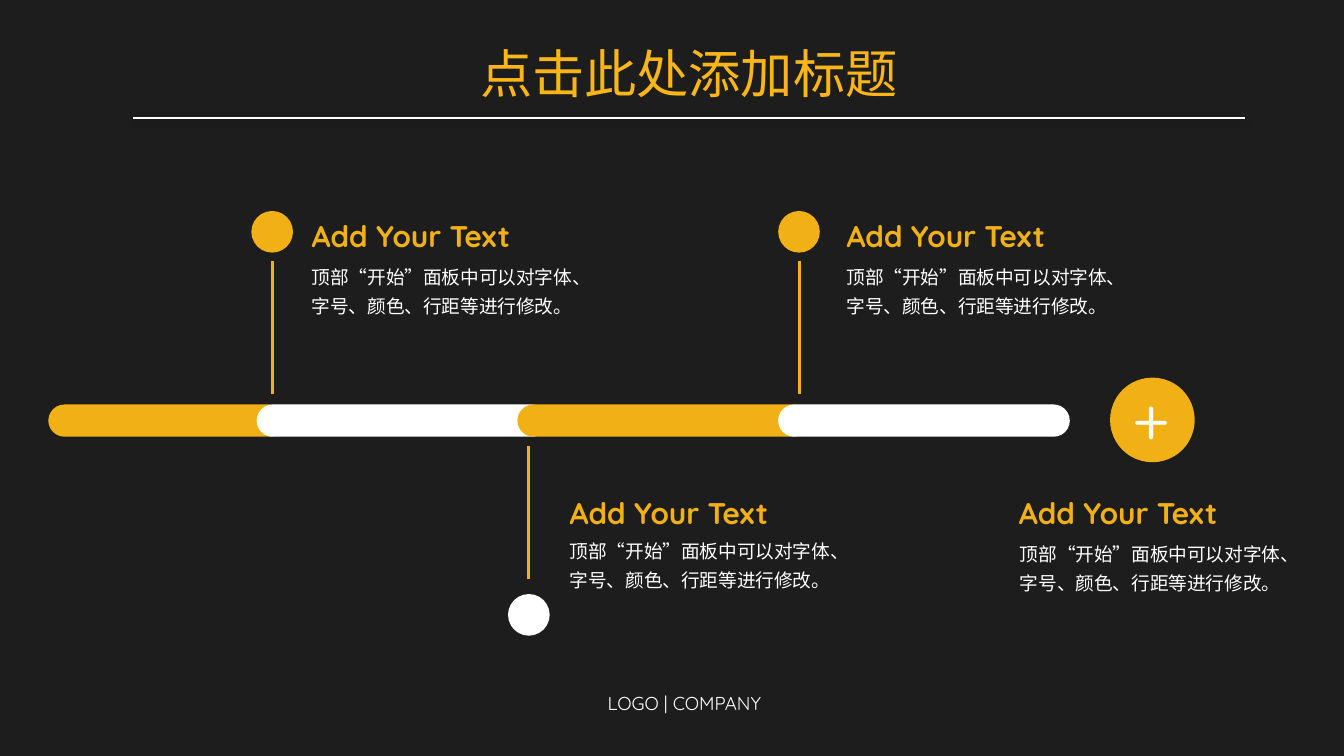
from dataclasses import dataclass

from lxml.etree import SubElement
from pptx import Presentation
from pptx.dml.color import RGBColor
from pptx.enum.shapes import MSO_CONNECTOR, MSO_SHAPE
from pptx.enum.text import MSO_ANCHOR, MSO_AUTO_SIZE, PP_ALIGN
from pptx.oxml.ns import qn
from pptx.util import Inches, Pt


@dataclass(frozen=True)
class Theme:
    """Colours, font and type sizes of the slide."""
    background: RGBColor = RGBColor.from_string("1D1D1D")
    amber: RGBColor = RGBColor.from_string("F1B015")
    title_amber: RGBColor = RGBColor.from_string("F9B616")
    white: RGBColor = RGBColor.from_string("FFFFFF")
    shadow: RGBColor = RGBColor.from_string("000000")
    font: str = "Quicksand"
    title: int = 28
    heading: int = 16
    body: int = 10
    plus: int = 36


THEME = Theme()
HEADING = "Add Your Text"
BODY = "顶部“开始”面板中可以对字体、字号、颜色、行距等进行修改。"


def write(box, text, size, color, bold=False, align=PP_ALIGN.LEFT, spacing=1.0, wrap=True):
    """Fill a box with one formatted paragraph."""
    frame = box.text_frame
    frame.word_wrap = wrap
    frame.auto_size = MSO_AUTO_SIZE.SHAPE_TO_FIT_TEXT
    frame.vertical_anchor = MSO_ANCHOR.TOP
    para = frame.paragraphs[0]
    para.text = text
    para.alignment = align
    para.line_spacing = spacing
    para.font.name = THEME.font
    para.font.size = Pt(size)
    para.font.bold = bold
    para.font.color.rgb = color


def add_label(shapes, left, top, width, height, text, size, color, **style):
    """Add a text box holding one paragraph."""
    box = shapes.add_textbox(Inches(left), Inches(top), Inches(width), Inches(height))
    write(box, text, size, color, **style)


def add_filled(shapes, kind, left, top, width, height, color):
    """Add a flat preset shape without outline."""
    shape = shapes.add_shape(kind, Inches(left), Inches(top), Inches(width), Inches(height))
    shape.shadow.inherit = False
    shape.fill.solid()
    shape.fill.fore_color.rgb = color
    shape.line.fill.background()
    return shape


def add_line(shapes, x1, y1, x2, y2, color, weight):
    """Add a straight line and return its effect list, which is empty."""
    line = shapes.add_connector(
        MSO_CONNECTOR.STRAIGHT, Inches(x1), Inches(y1), Inches(x2), Inches(y2))
    line.line.color.rgb = color
    line.line.width = Pt(weight)
    return SubElement(line._element.spPr, qn("a:effectLst"))


def add_soft_shadow(effects):
    """Put a blurred shadow below a line."""
    shadow = SubElement(effects, qn("a:outerShdw"), {
        "blurRad": str(Pt(3.1)), "dist": str(Pt(1.6)), "dir": str(90 * 60000),
        "rotWithShape": "0"})
    color = SubElement(shadow, qn("a:srgbClr"), val=str(THEME.shadow))
    SubElement(color, qn("a:alpha"), val="38000")


def add_title(page):
    """Set the title above its rule."""
    title = page.shapes.title
    title.left, title.top = Inches(3.42), Inches(0.26)
    title.width, title.height = Inches(3.41), Inches(0.57)
    write(title, "点击此处添加标题", THEME.title, THEME.title_amber, align=PP_ALIGN.CENTER)
    add_soft_shadow(add_line(page.shapes, 0.99, 0.88, 9.26, 0.88, THEME.white, 1))


def add_bar(shapes):
    """Draw the overlapping segments of the timeline."""
    segments = [(0.36, 1.77)] + [(1.91 + 1.94 * step, 2.17) for step in range(3)]
    for index, (left, width) in enumerate(segments):
        color = THEME.white if index % 2 else THEME.amber
        segment = add_filled(
            shapes, MSO_SHAPE.ROUNDED_RECTANGLE, left, 3.01, width, 0.24, color)
        segment.adjustments[0] = 0.5


def add_marker(shapes, dot_left, dot_top, stem_x, stem_top, color):
    """Draw a dot and the stem that ties it to the timeline."""
    add_filled(shapes, MSO_SHAPE.OVAL, dot_left, dot_top, 0.31, 0.31, color)
    add_line(shapes, stem_x, stem_top, stem_x, stem_top + 0.99, THEME.amber, 1.5)


def add_entry(shapes, heading_left, heading_top, body_left, body_top, align=PP_ALIGN.LEFT):
    """Write a heading and its description."""
    add_label(shapes, heading_left, heading_top, 2.12, 0.37, HEADING,
              THEME.heading, THEME.amber, bold=True, align=align)
    add_label(shapes, body_left, body_top, 2.19, 0.53, BODY,
              THEME.body, THEME.white, spacing=1.3)


def add_plus_badge(page):
    """Group the end circle with its plus sign."""
    badge = page.shapes.add_group_shape().shapes
    add_filled(badge, MSO_SHAPE.OVAL, 8.26, 2.81, 0.63, 0.63, THEME.amber)
    add_label(badge, 8.33, 2.8, 0.51, 0.66, "+", THEME.plus, THEME.white,
              spacing=0.9, wrap=False)


def main():
    """Build the timeline slide and save it."""
    deck = Presentation()
    deck.slide_width, deck.slide_height = Inches(10), Inches(10 * 9 / 16)
    page = deck.slides.add_slide(deck.slide_layouts[5])
    page.background.fill.solid()
    page.background.fill.fore_color.rgb = THEME.background
    add_title(page)
    add_bar(page.shapes)
    for marker in (
        (1.87, 1.57, 2.03, 1.94, THEME.amber),
        (3.78, 4.42, 3.93, 3.32, THEME.white),
        (5.79, 1.57, 5.95, 1.94, THEME.amber),
    ):
        add_marker(page.shapes, *marker)
    for left, heading_top, body_top in ((2.22, 1.57, 1.88), (4.14, 3.63, 3.92), (6.2, 1.57, 1.88)):
        add_entry(page.shapes, left, heading_top, left, body_top)
    add_entry(page.shapes, 7.26, 3.63, 7.49, 3.94, PP_ALIGN.CENTER)
    add_plus_badge(page)
    add_label(page.shapes, 4.23, 5.1, 1.53, 0.27, "LOGO | COMPANY",
              THEME.body, THEME.white, align=PP_ALIGN.RIGHT, wrap=False)
    deck.save("out.pptx")


if __name__ == "__main__":
    main()
